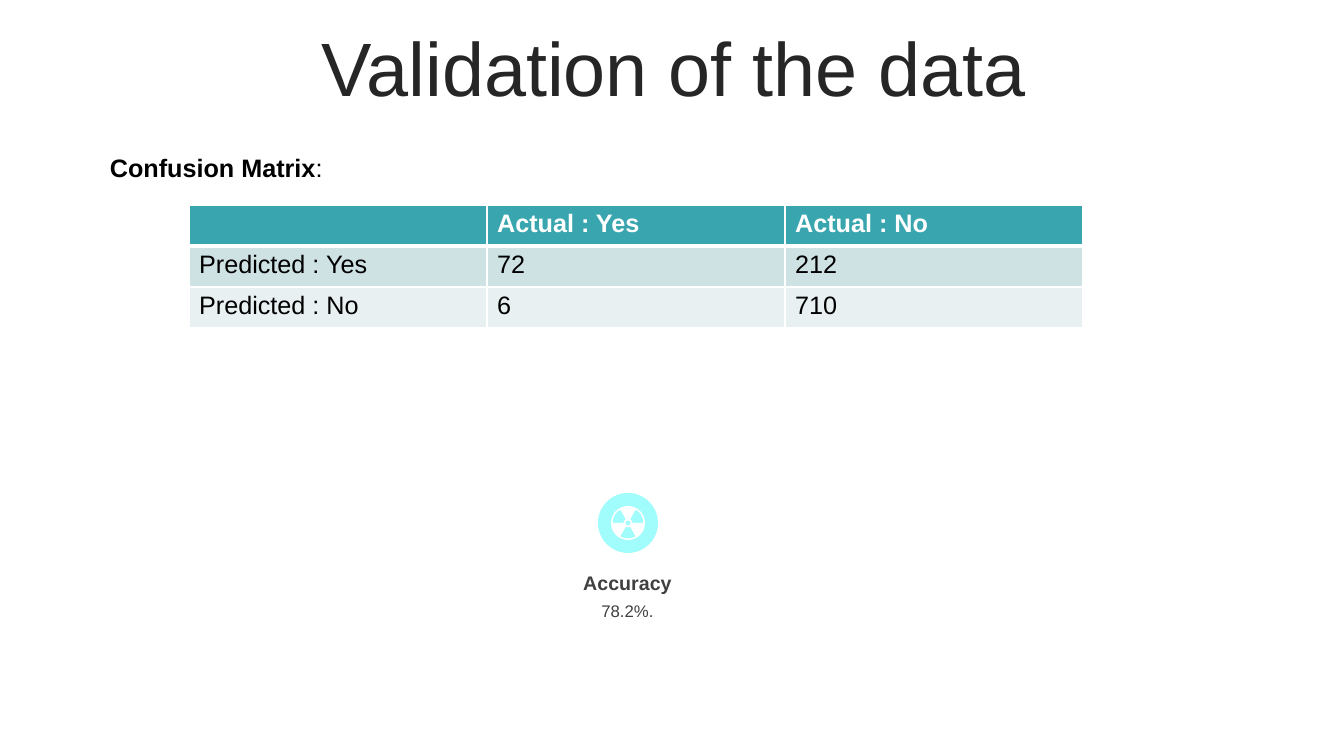
from math import cos, radians, sin, tan

from lxml import etree
from pptx import Presentation
from pptx.dml.color import RGBColor
from pptx.enum.shapes import MSO_SHAPE
from pptx.enum.text import MSO_ANCHOR, MSO_AUTO_SIZE, PP_ALIGN
from pptx.oxml.ns import qn
from pptx.util import Pt

LEFT, CENTER = PP_ALIGN.LEFT, PP_ALIGN.CENTER
TOP, MIDDLE = MSO_ANCHOR.TOP, MSO_ANCHOR.MIDDLE
OVAL = MSO_SHAPE.OVAL

TITLE = "Validation of the data"
HEADING = [("Confusion Matrix", True), (":", False)]
CONFUSION_MATRIX = [
    ("", "Actual : Yes", "Actual : No"),
    ("Predicted : Yes", "72", "212"),
    ("Predicted : No", "6", "710"),
]
METRIC, METRIC_VALUE = "Accuracy", "78.2%."

FONT = "Arial"
COLORS = {
    "title": "262626", "metric": "404040", "text": "000000", "white": "FFFFFF",
    "header": "39A5AE", "yes row": "CEE1E3", "no row": "E8F0F2", "badge": "A0FDFB",
}
ROW_FILLS = ["header", "yes row", "no row"]

# Lengths in px
SLIDE_W, SLIDE_H = 1344, 756
TITLE_BOX = (36, 32, 1276, 80)
HEADING_BOX = (100, 147, 305, 40)
TABLE_LEFT, TABLE_TOP, COL_W, ROW_H = 189, 205, 298, 41
METRIC_BOX = (493, 566, 269, 34)
VALUE_BOX = (493, 596, 269, 30)
BADGE_X, BADGE_Y, BADGE_R = 628, 523, 30
DISC_R, BLADE_OUTER_R, BLADE_INNER_R, HUB_R = 17, 15.5, 4.5, 2.5
BLADE_STARTS = (60, 180, 300)

EMU_PER_PX = 914400 / 100.8


def px(length):
    return round(length * EMU_PER_PX)


def place(shape, box):
    shape.left, shape.top, shape.width, shape.height = map(px, box)


def write(frame, text, size=18, color="text", bold=False, align=LEFT, anchor=TOP):
    """Fill a text frame with a string, or with (string, bold) runs."""
    frame.word_wrap = True
    frame.vertical_anchor = anchor
    paragraph = frame.paragraphs[0]
    paragraph.alignment = align
    for words, is_bold in [(text, bold)] if isinstance(text, str) else text:
        run = paragraph.add_run()
        run.text = words
        run.font.name, run.font.size, run.font.bold = FONT, Pt(size), is_bold
        run.font.color.rgb = RGBColor.from_string(COLORS[color])


def add_text(slide, box, text, **style):
    write(slide.shapes.add_textbox(*map(px, box)).text_frame, text, **style)


def paint(target, color):
    target.fill.solid()
    target.fill.fore_color.rgb = RGBColor.from_string(COLORS[color])


def paint_plain(shape, color):
    """Fill a shape, without outline or shadow."""
    paint(shape, color)
    shape.shadow.inherit = False
    shape.line.fill.background()


def set_borders(cell, widths):
    """Draw white cell borders; widths are points for left, right, top, bottom."""
    props = cell._tc.get_or_add_tcPr()
    for index, (side, width) in enumerate(zip("LRTB", widths)):
        line = etree.Element(qn(f"a:ln{side}"), w=str(Pt(width)))
        fill = etree.SubElement(line, qn("a:solidFill"))
        etree.SubElement(fill, qn("a:srgbClr"), val=COLORS["white"])
        props.insert(index, line)


def add_matrix(slide):
    rows, cols = len(CONFUSION_MATRIX), len(CONFUSION_MATRIX[0])
    table = slide.shapes.add_table(
        rows, cols, px(TABLE_LEFT), px(TABLE_TOP), px(cols * COL_W), px(rows * ROW_H)
    ).table
    for r, values in enumerate(CONFUSION_MATRIX):
        is_header = r == 0
        for c, value in enumerate(values):
            cell = table.cell(r, c)
            paint(cell, ROW_FILLS[r])
            set_borders(cell, (1, 1, 3 if r == 1 else 1, 3 if is_header else 1))
            if value:
                write(cell.text_frame, value, bold=is_header,
                      color="white" if is_header else "text")


def polar(radius, angle):
    """Point in EMU, seen from the badge centre."""
    return (px(BADGE_X + radius * cos(radians(angle))),
            px(BADGE_Y + radius * sin(radians(angle))))


def curve(radius, start, end):
    """Bezier handles and end point of one circular arc."""
    reach = 4 / 3 * tan(radians(end - start) / 4)
    bend = sin(radians(90)) * reach
    handle_r = radius * (1 + bend ** 2) ** 0.5
    lean = (end - start) / 4
    # The handle lies on the tangent, at the angle whose tangent is the reach.
    x, y = cos(radians(start)), sin(radians(start))
    u, v = cos(radians(end)), sin(radians(end))
    return [(px(BADGE_X + radius * (x - reach * y)), px(BADGE_Y + radius * (y + reach * x))),
            (px(BADGE_X + radius * (u + reach * v)), px(BADGE_Y + radius * (v - reach * u))),
            polar(radius, end)] if handle_r and lean else []


def circle(radius, turn):
    return polar(radius, 0), [curve(radius, turn * a, turn * (a + 90))
                              for a in range(0, 360, 90)]


def blade(start):
    end = start + 60
    return polar(BLADE_INNER_R, end), [
        [polar(BLADE_OUTER_R, end)], curve(BLADE_OUTER_R, end, start),
        [polar(BLADE_INNER_R, start)], curve(BLADE_INNER_R, start, end)]


def add_badge(slide):
    """Draw a round badge with a radiation sign cut out of a white disc."""
    badge = slide.shapes.add_shape(
        OVAL, px(BADGE_X - BADGE_R), px(BADGE_Y - BADGE_R), px(2 * BADGE_R), px(2 * BADGE_R))
    paint_plain(badge, "badge")
    outlines = [circle(DISC_R, 1), circle(HUB_R, -1)] + [blade(a) for a in BLADE_STARTS]
    builder = slide.shapes.build_freeform(*outlines[0][0])
    for index, (start, segments) in enumerate(outlines):
        if index:
            builder.move_to(*start)
        builder.add_line_segments([point for segment in segments for point in segment])
    sign = builder.convert_to_shape()
    paint_plain(sign, "white")

    steps = iter(list(sign._element.iter(qn("a:lnTo"))))
    for _, segments in outlines:
        for segment in segments:
            parts = [next(steps) for _ in segment]
            if len(parts) == 3:
                bezier = etree.Element(qn("a:cubicBezTo"))
                parts[0].addprevious(bezier)
                for part in parts:
                    bezier.append(part[0])
                    part.getparent().remove(part)


def main():
    deck = Presentation()
    deck.slide_width, deck.slide_height = px(SLIDE_W), px(SLIDE_H)
    slide = deck.slides.add_slide(deck.slide_layouts[5])

    title = slide.shapes.title
    place(title, TITLE_BOX)
    write(title.text_frame, TITLE, size=54, color="title", align=CENTER, anchor=MIDDLE)
    title.text_frame.auto_size = MSO_AUTO_SIZE.NONE
    title.text_frame.paragraphs[0].line_spacing = 0.9
    title.text_frame.paragraphs[0].space_before = Pt(10)

    add_text(slide, METRIC_BOX, METRIC, size=14, color="metric", bold=True,
             align=CENTER, anchor=MIDDLE)
    add_text(slide, VALUE_BOX, METRIC_VALUE, size=12, color="metric", align=CENTER)
    add_badge(slide)
    add_matrix(slide)
    add_text(slide, HEADING_BOX, HEADING)
    deck.save("out.pptx")


if __name__ == "__main__":
    main()
